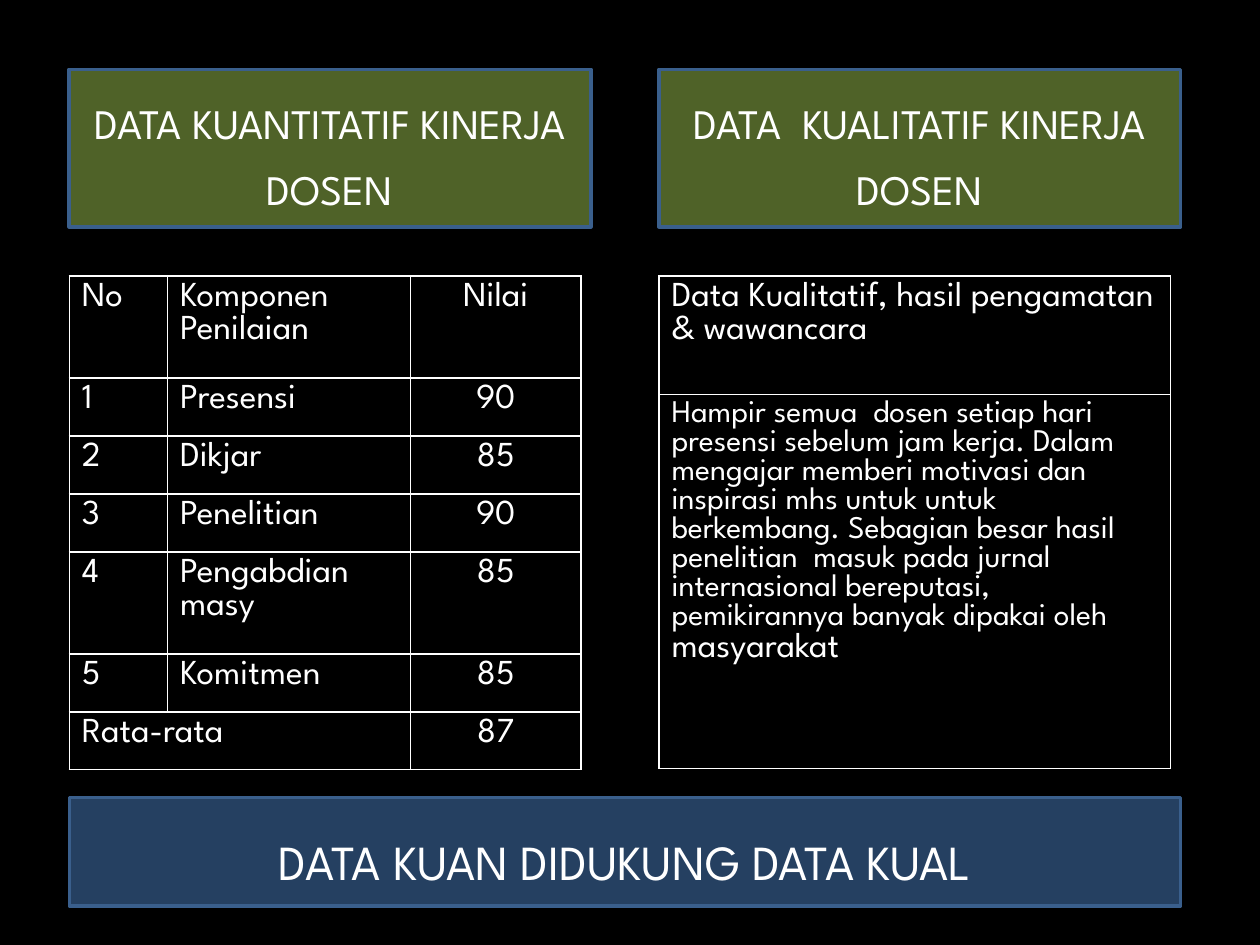
import dataclasses

import lxml.etree
import pptx
import pptx.dml.color
import pptx.enum.shapes
import pptx.enum.text
import pptx.oxml.ns
import pptx.util

INCH = pptx.util.Inches
ALIGN = pptx.enum.text.PP_ALIGN
RGB = pptx.dml.color.RGBColor.from_string


@dataclasses.dataclass
class Theme:
    font: str = "League Spartan"
    back: str = "000000"
    text: str = "FFFFFF"
    green: str = "4F6228"
    navy: str = "254061"
    edge: str = "3A5F8C"
    head: int = 24
    foot: int = 28
    cell: int = 20
    note: int = 18
    lead: float = 1.3


THEME = Theme()

# Grid in inches: two columns, three bands
LEFT, RIGHT = 0.55, 5.23
WIDE = 4.14
TABLE = 4.06
TOP, MID, LOW = 0.55, 2.19, 6.33

SCORES = [
    ("No", "Komponen Penilaian", "Nilai"),
    ("1", "Presensi", "90"),
    ("2", "Dikjar", "85"),
    ("3", "Penelitian", "90"),
    ("4", "Pengabdian masy", "85"),
    ("5", "Komitmen", "85"),
    ("Rata-rata", "", "87"),
]
TITLE = "Data Kualitatif, hasil pengamatan & wawancara"
NOTE = (
    "Hampir semua  dosen setiap hari presensi sebelum jam kerja. "
    "Dalam mengajar memberi motivasi dan inspirasi mhs untuk untuk "
    "berkembang. Sebagian besar hasil penelitian  masuk pada jurnal "
    "internasional bereputasi, pemikirannya banyak dipakai oleh "
)


def style(font, size):
    font.name = THEME.font
    font.size = pptx.util.Pt(size)
    font.color.rgb = RGB(THEME.text)


def banner(slide, text, left, top, width, height, fill, size):
    box = slide.shapes.add_shape(
        pptx.enum.shapes.MSO_SHAPE.RECTANGLE,
        INCH(left), INCH(top), INCH(width), INCH(height))
    box.shadow.inherit = False
    box.fill.solid()
    box.fill.fore_color.rgb = RGB(fill)
    box.line.color.rgb = RGB(THEME.edge)
    box.line.width = pptx.util.Pt(2)
    frame = box.text_frame
    frame.word_wrap = True
    frame.vertical_anchor = pptx.enum.text.MSO_ANCHOR.MIDDLE
    frame.text = text
    para = frame.paragraphs[0]
    para.alignment = ALIGN.CENTER
    para.line_spacing = THEME.lead
    style(para.runs[0].font, size)


def border(cell):
    props = cell._tc.get_or_add_tcPr()
    name = pptx.oxml.ns.qn
    for spot, side in enumerate(("a:lnL", "a:lnR", "a:lnT", "a:lnB")):
        line = lxml.etree.Element(name(side), w=str(pptx.util.Pt(1)))
        fill = lxml.etree.SubElement(line, name("a:solidFill"))
        lxml.etree.SubElement(fill, name("a:srgbClr"), val=THEME.text)
        props.insert(spot, line)


def grid(slide, left, cols, rows):
    table = slide.shapes.add_table(
        len(rows), len(cols), INCH(left), INCH(MID),
        INCH(sum(cols)), INCH(sum(rows))).table
    table.first_row = table.horz_banding = False
    for col, width in zip(table.columns, cols):
        col.width = INCH(width)
    for row, height in zip(table.rows, rows):
        row.height = INCH(height)
    for cell in table.iter_cells():
        cell.fill.background()
        border(cell)
    return table


def write(cell, *parts, align=ALIGN.LEFT):
    para = cell.text_frame.paragraphs[0]
    para.alignment = align
    for text, size in parts:
        run = para.add_run()
        run.text = text
        style(run.font, size)


def scores(slide):
    short, tall = 0.46, 0.81
    rows = [tall if row in (0, 4) else short for row in range(len(SCORES))]
    table = grid(slide, LEFT, [0.78, 1.93, 1.35], rows)
    last = len(SCORES) - 1
    table.cell(last, 0).merge(table.cell(last, 1))
    for row, line in enumerate(SCORES):
        for col, text in enumerate(line):
            if text:
                write(table.cell(row, col), (text, THEME.cell),
                      align=ALIGN.CENTER if col == 2 else ALIGN.LEFT)


def remarks(slide):
    table = grid(slide, RIGHT, [TABLE], [0.94, 2.97])
    write(table.cell(0, 0), (TITLE, THEME.cell))
    write(table.cell(1, 0), (NOTE, THEME.note), ("masyarakat", THEME.cell))


def main():
    deck = pptx.Presentation()
    deck.slide_width, deck.slide_height = INCH(10), INCH(7.5)
    slide = deck.slides.add_slide(deck.slide_layouts[6])
    slide.background.fill.solid()
    slide.background.fill.fore_color.rgb = RGB(THEME.back)

    # Column headings
    for left, kind in ((LEFT, "DATA KUANTITATIF"), (RIGHT, "DATA  KUALITATIF")):
        banner(slide, f"{kind} KINERJA DOSEN", left, TOP, WIDE, 1.25,
               THEME.green, THEME.head)

    # Tables
    scores(slide)
    remarks(slide)

    # Conclusion across both columns
    banner(slide, "DATA KUAN DIDUKUNG DATA KUAL", LEFT, LOW,
           RIGHT + WIDE - LEFT, 0.86, THEME.navy, THEME.foot)
    deck.save("out.pptx")


if __name__ == "__main__":
    main()
